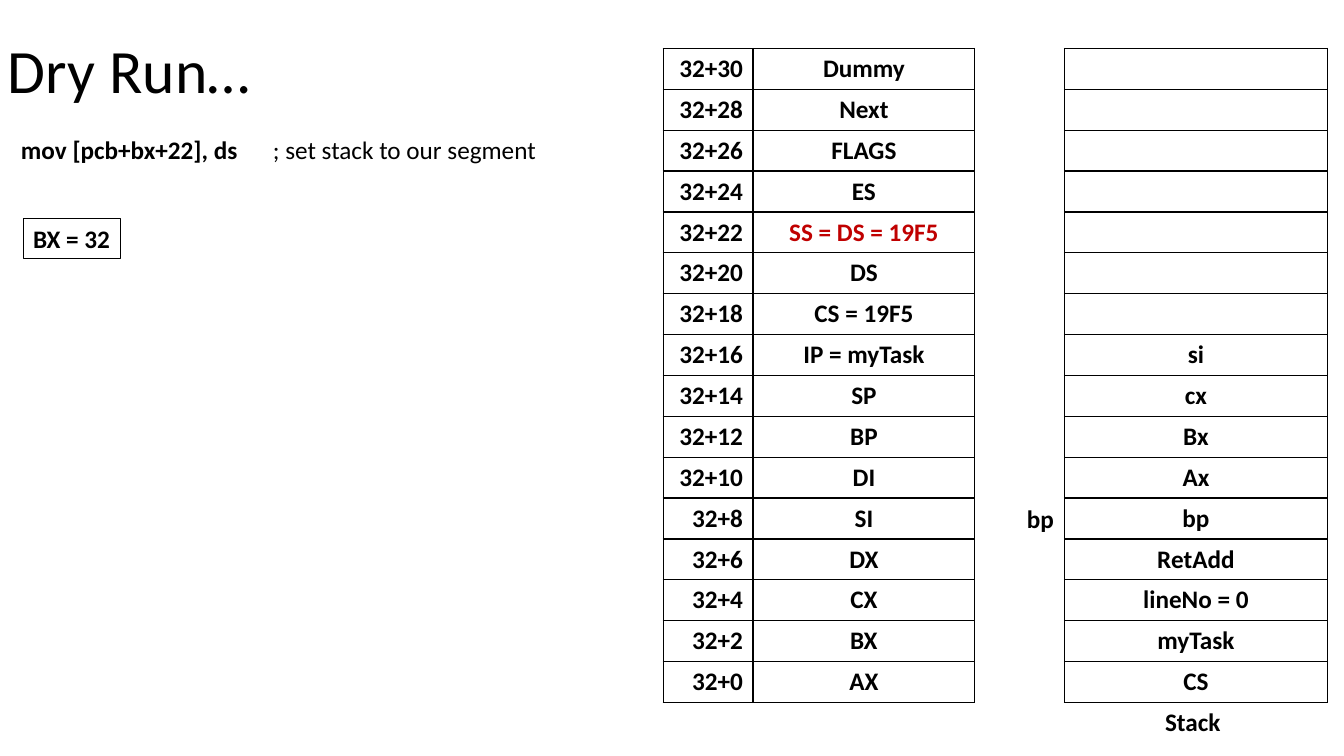
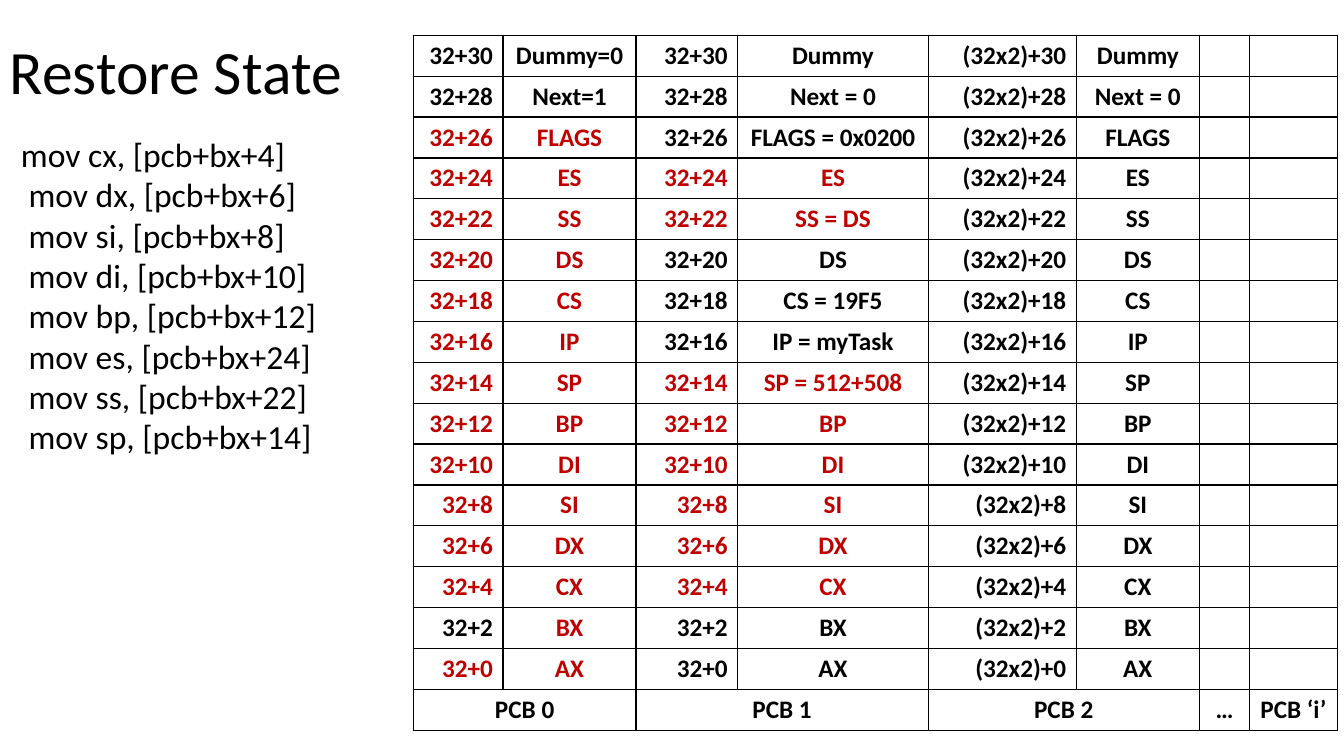
import dataclasses

import lxml.etree
import pptx
import pptx.dml.color
import pptx.enum.text
import pptx.oxml
import pptx.oxml.ns
import pptx.util

Pt = pptx.util.Pt
RGB = pptx.dml.color.RGBColor
PP_ALIGN = pptx.enum.text.PP_ALIGN


@dataclasses.dataclass(frozen=True)
class Theme:
    ink: RGB = RGB(0, 0, 0)
    accent: RGB = RGB(0xC0, 0, 0)
    font: str = "Calibri"
    title: int = 44
    code: int = 24
    body: int = 18
    border: float = 1
    row: float = 29.2


THEME = Theme()


def add_text(s, box, lines, size=THEME.body, bold=False, title=False):
    sp = s.shapes.add_textbox(*[Pt(v) for v in box])
    tf = sp.text_frame
    tf.word_wrap = title
    if title:
        tf.vertical_anchor = pptx.enum.text.MSO_ANCHOR.MIDDLE
    else:
        tf.auto_size = pptx.enum.text.MSO_AUTO_SIZE.SHAPE_TO_FIT_TEXT
    tf.text = "\n".join(lines)
    for p in tf.paragraphs:
        if title:
            p.line_spacing = 0.9
        for r in p.runs:
            r.font.name, r.font.size, r.font.bold = THEME.font, Pt(size), bold
            r.font.color.rgb = THEME.ink
    return sp


def add_grid(s, left, top, widths, rows, offset_cols=(), red=()):
    frame = s.shapes.add_table(len(rows), len(widths), Pt(left), Pt(top),
                               Pt(sum(widths)), Pt(THEME.row * len(rows)))
    table = frame.table
    table.first_row = table.horz_banding = False
    for column, width in zip(table.columns, widths):
        column.width = Pt(width)
    for i, texts in enumerate(rows):
        table.rows[i].height = Pt(THEME.row)
        for j, text in enumerate(texts):
            cell = table.cell(i, j)
            tcPr = cell._tc.get_or_add_tcPr()
            for side in ("a:lnL", "a:lnR", "a:lnT", "a:lnB"):
                ln = lxml.etree.SubElement(tcPr, pptx.oxml.ns.qn(side), w=str(Pt(THEME.border)))
                fill = lxml.etree.SubElement(ln, pptx.oxml.ns.qn("a:solidFill"))
                lxml.etree.SubElement(fill, pptx.oxml.ns.qn("a:srgbClr"), val=str(THEME.ink))
            cell.fill.background()
            cell.text_frame.text = text
            p = cell.text_frame.paragraphs[0]
            p.alignment = PP_ALIGN.RIGHT if j in offset_cols else PP_ALIGN.CENTER
            for r in p.runs:
                r.font.name, r.font.size, r.font.bold = THEME.font, Pt(THEME.body), True
                r.font.color.rgb = THEME.accent if (i, j) in red else THEME.ink
    return table


prs = pptx.Presentation()
prs.slide_width, prs.slide_height = Pt(960), Pt(540)
blank = prs.slide_layouts[6]

fields = ["Dummy", "Next", "FLAGS", "ES", "SS", "DS", "CS", "IP",
          "SP", "BP", "DI", "SI", "DX", "CX", "BX", "AX"]
offsets = range(30, -1, -2)

s = prs.slides.add_slide(blank)
add_text(s, (-1.4, 0, 828, 104.4), ["Dry Run…"], THEME.title, title=True)

stack = [""] * 7 + ["si", "cx", "Bx", "Ax", "bp", "RetAdd", "lineNo = 0", "myTask", "CS"]
add_grid(s, 760.3, 34.6, [187.9], [[entry] for entry in stack])

sp = add_text(s, (16.6, 156.2, 69.8, 28.8), ["BX = 32"], bold=True)
sp.line.color.rgb = THEME.ink
sp.line.width = Pt(0.75)

sp = add_text(s, (7.9, 92.2, 422.6, 28.8), ["mov [pcb+bx+22], ds"], bold=True)
r = sp.text_frame.paragraphs[0].add_run()
r.text = "\t; set stack to our segment"
r.font.name, r.font.size, r.font.bold = THEME.font, Pt(THEME.body), False
r.font.color.rgb = THEME.ink

add_text(s, (726.5, 355.7, 33.8, 28.8), ["bp"], bold=True)
add_text(s, (825.1, 501.1, 54.7, 28.8), ["Stack"], bold=True)

values = {"SS": "SS = DS = 19F5", "CS": "CS = 19F5", "IP": "IP = myTask"}
rows = [[f"32+{n}", values.get(f, f)] for n, f in zip(offsets, fields)]
add_grid(s, 473.8, 34.6, [64.1, 158.4], rows, offset_cols=[0], red={(fields.index("SS"), 1)})

s = prs.slides.add_slide(blank)
add_text(s, (0, 0.7, 828, 104.4), ["Restore State"], THEME.title, title=True)

pcb0 = {"Dummy": "Dummy=0", "Next": "Next=1"}
pcb1 = {"Next": "Next = 0", "FLAGS": "FLAGS = 0x0200", "SS": "SS = DS",
        "CS": "CS = 19F5", "IP": "IP = myTask", "SP": "SP = 512+508"}
pcb2 = {"Next": "Next = 0"}
rows = []
red = set()
for i, (n, f) in enumerate(zip(offsets, fields)):
    rows.append([f"32+{n}", pcb0.get(f, f), f"32+{n}", pcb1.get(f, f),
                 f"(32x2)+{n}", pcb2.get(f, f), "", ""])
    if n <= 26:
        red.add((i, 1))
        if f != "BX":
            red.add((i, 0))
    if 4 <= n <= 14 or n in (22, 24):
        red |= {(i, 2), (i, 3)}
rows.append(["PCB 0", "", "PCB 1", "", "PCB 2", "", "…", "PCB ‘i’"])
table = add_grid(s, 295.2, 25.2, [64.1, 95, 72.7, 136.1, 105.8, 87.8, 36, 62.6],
                 rows, offset_cols=[0, 2, 4], red=red)
last = len(rows) - 1
for col in (0, 2, 4):
    table.cell(last, col).merge(table.cell(last, col + 1))
    table.cell(last, col).text_frame.paragraphs[0].alignment = PP_ALIGN.CENTER

code = ["mov cx, [pcb+bx+4]",
        " mov dx, [pcb+bx+6]",
        " mov si, [pcb+bx+8]",
        " mov di, [pcb+bx+10]",
        " mov bp, [pcb+bx+12]",
        " mov es, [pcb+bx+24]",
        " mov ss, [pcb+bx+22]",
        " mov sp, [pcb+bx+14]"]
add_text(s, (7.9, 92.2, 227.5, 239.8), code, THEME.code)

prs.save("out.pptx")
